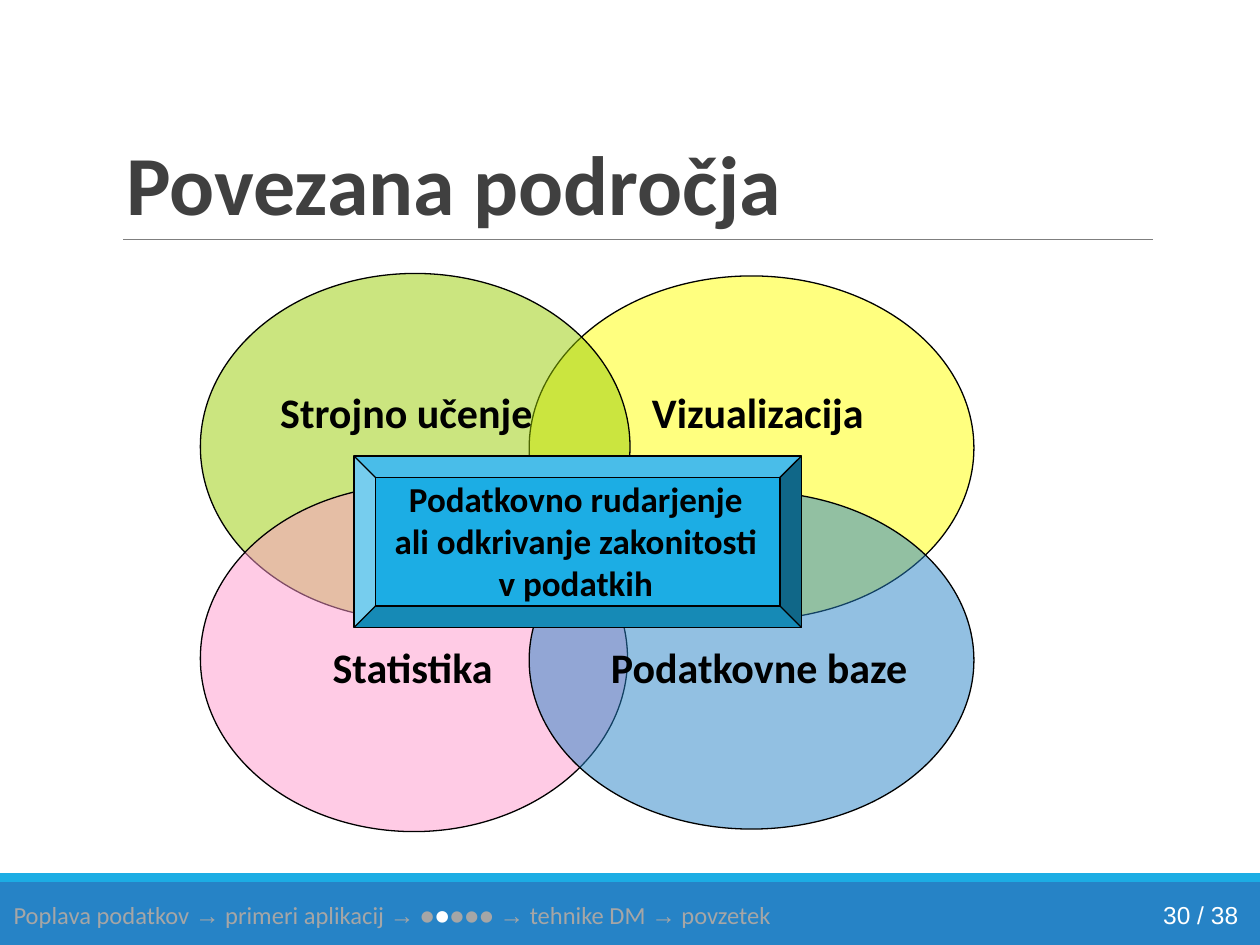
from lxml.etree import SubElement
from pptx import Presentation
from pptx.dml.color import RGBColor
from pptx.enum.shapes import MSO_CONNECTOR, MSO_SHAPE
from pptx.enum.text import MSO_ANCHOR, MSO_AUTO_SIZE, PP_ALIGN
from pptx.oxml.ns import qn
from pptx.util import Inches, Pt

BLACK, WHITE, GREY = "000000", "FFFFFF", "A6A6A6"
BLUE, CYAN = "2683C6", "1CADE4"


def color(hex_value):
    """Turn a hex string into a colour."""
    return RGBColor.from_string(hex_value)


def set_font(font, size, hex_value, bold=False, name="Calibri"):
    """Format one font."""
    font.name, font.size, font.bold = name, Pt(size), bold
    font.color.rgb = color(hex_value)


def add_filled(slide, preset, box, fill, outline=None, opacity=None):
    """Add a preset shape with a solid fill and an optional outline."""
    filled = slide.shapes.add_shape(preset, *map(Inches, box))
    filled.shadow.inherit = False
    filled.fill.solid()
    filled.fill.fore_color.rgb = color(fill)
    if opacity:
        srgb = filled.fill._xPr.find(".//" + qn("a:srgbClr"))
        SubElement(srgb, qn("a:alpha")).set("val", str(opacity * 1000))
    if outline:
        filled.line.color.rgb = color(outline)
        filled.line.width = Pt(0.75)
    else:
        filled.line.fill.background()
    return filled


def add_rule(slide, left, right, top):
    """Add the thin rule below the title."""
    rule = slide.shapes.add_connector(
        MSO_CONNECTOR.STRAIGHT, Inches(left), Inches(top), Inches(right), Inches(top))
    rule.line.color.rgb = color("7F7F7F")
    rule.line.width = Pt(0.5)
    SubElement(rule._element.spPr, qn("a:effectLst"))


def add_text(slide, box, align=PP_ALIGN.CENTER, anchor=MSO_ANCHOR.TOP, wrap=True):
    """Add a text box and return its only paragraph."""
    frame = slide.shapes.add_textbox(*map(Inches, box)).text_frame
    frame.word_wrap = wrap
    frame.vertical_anchor = anchor
    paragraph = frame.paragraphs[0]
    paragraph.alignment = align
    return paragraph


def add_field(slide, name, fill, oval_box, label_box):
    """Add a translucent oval with its label."""
    add_filled(slide, MSO_SHAPE.OVAL, oval_box, fill, BLACK, opacity=50)
    label = add_text(slide, label_box)
    label.text = name
    label.line_spacing = 0.9
    set_font(label.font, 24, BLACK, bold=True)


def add_core(slide):
    """Add the bevelled block where the fields meet."""
    add_filled(slide, MSO_SHAPE.BEVEL, (2.81, 3.62, 3.55, 1.36), CYAN, BLACK)
    core = add_text(slide, (3.02, 3.74, 3.1, 1.1), wrap=False)
    core.text = "Podatkovno rudarjenje\nali odkrivanje zakonitosti\nv podatkih"
    set_font(core.font, 20, BLACK, bold=True)


def add_title(slide, wording):
    """Fill and place the title placeholder."""
    title = slide.shapes.title
    title.left, title.top, title.width, title.height = map(Inches, (0.9, 0.31, 8.35, 1.59))
    frame = title.text_frame
    frame.text = wording
    frame.auto_size = MSO_AUTO_SIZE.NONE
    frame.vertical_anchor = MSO_ANCHOR.BOTTOM
    heading = frame.paragraphs[0]
    heading.alignment = PP_ALIGN.LEFT
    heading.line_spacing = 0.85
    set_font(heading.font, 48, "404040", bold=True)


def add_footer(slide):
    """Add the progress trail and the page count."""
    page = add_text(slide, (9.08, 7.06, 0.9, 0.4), anchor=MSO_ANCHOR.MIDDLE)
    page.text = "30 / 38"
    set_font(page.font, 14, WHITE, name="Arial")

    trail = add_text(slide, (0.01, 7.06, 9.07, 0.4), PP_ALIGN.LEFT, MSO_ANCHOR.MIDDLE)
    steps = ["Poplava podatkov ", "→", " primeri aplikacij ", "→", " ●", "●", "●●● ",
             "→", " tehnike DM ", "→", " povzetek"]
    for step in steps:
        run = trail.add_run()
        run.text = step
        current = step == "●"
        set_font(run.font, 14, WHITE if current else GREY, current,
                 "Arial" if step == "→" else "Calibri")


def main():
    """Build and save the slide."""
    deck = Presentation()
    deck.slide_width, deck.slide_height = Inches(10), Inches(7.5)
    slide = deck.slides.add_slide(deck.slide_layouts[5])
    add_filled(slide, MSO_SHAPE.RECTANGLE, (0, 7, 10, 0.5), BLUE)
    add_filled(slide, MSO_SHAPE.RECTANGLE, (0, 6.93, 10, 0.07), CYAN)
    add_rule(slide, 0.98, 9.15, 1.9)
    add_title(slide, "Povezana področja")
    add_footer(slide)
    fields = [
        ("Vizualizacija", "FFFF00", (4.2, 2.19, 3.53, 2.73), (4.76, 3.06, 2.51, 0.46)),
        ("Strojno učenje", "99CC00", (1.59, 2.17, 3.41, 2.75), (1.52, 3.06, 3.41, 0.46)),
        ("Statistika", "FF99CC", (1.59, 3.85, 3.39, 2.75), (2.22, 5.09, 2.11, 0.46)),
        ("Podatkovne baze", BLUE, (4.2, 3.9, 3.53, 2.68), (4.42, 5.09, 3.21, 0.46)),
    ]
    for field in fields:
        add_field(slide, *field)
    add_core(slide)
    deck.save("out.pptx")


if __name__ == "__main__":
    main()
